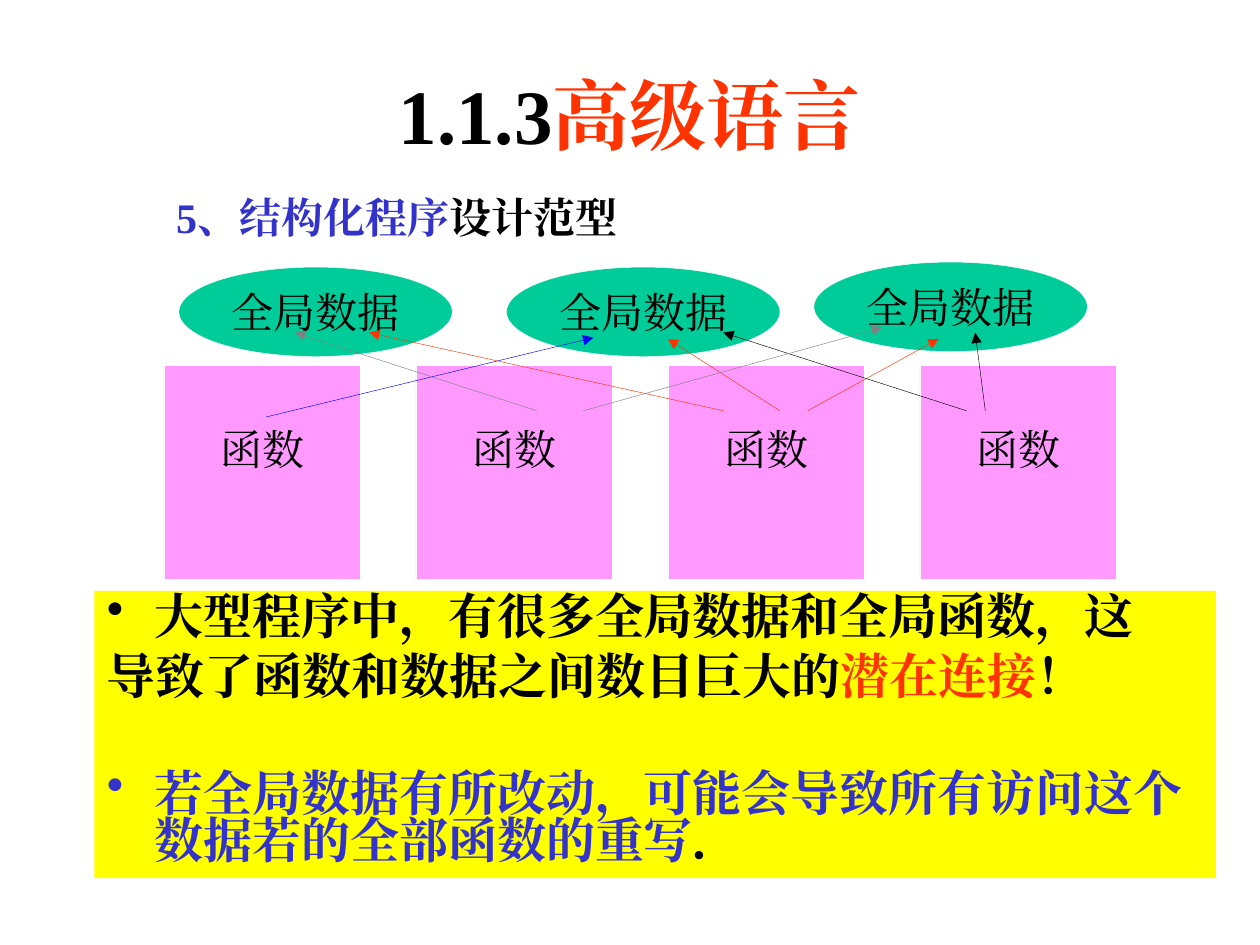
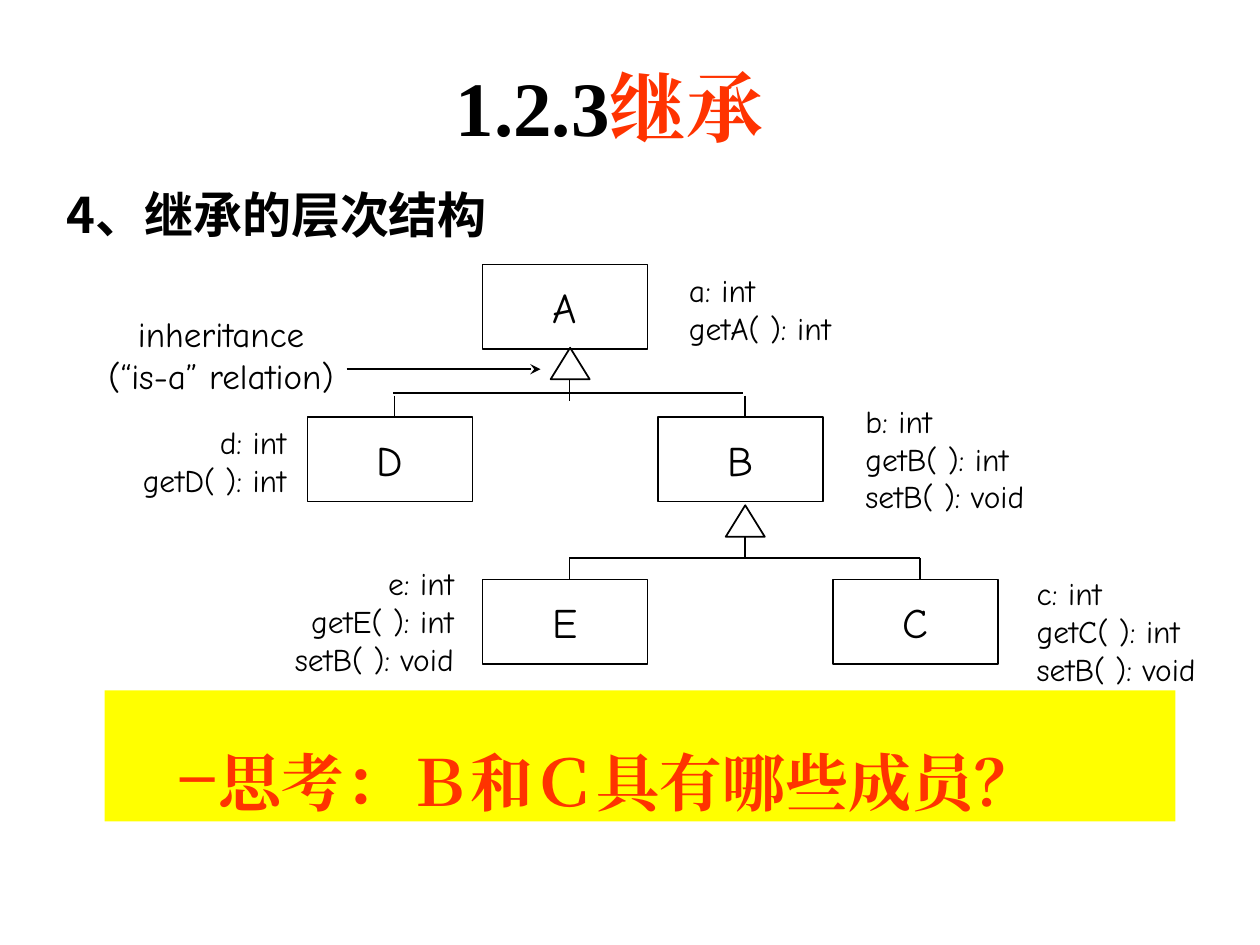
from dataclasses import dataclass
from typing import NamedTuple, Optional

from lxml.etree import SubElement
from pptx import Presentation
from pptx.dml.color import RGBColor
from pptx.enum.shapes import MSO_CONNECTOR as Connector, MSO_SHAPE as Preset
from pptx.enum.text import MSO_ANCHOR as Anchor, PP_ALIGN as Align
from pptx.oxml.ns import qn
from pptx.util import Inches, Pt


# Shared look
@dataclass(frozen=True)
class Theme:
    black: str = "000000"
    red: str = "FF3300"
    indigo: str = "3333CC"
    blue: str = "0000FF"
    grey: str = "808080"
    white: str = "FFFFFF"
    yellow: str = "FFFF00"
    green: str = "00CC99"
    pink: str = "FF99FF"
    serif: str = "Times New Roman"
    sans: str = "Noto Sans CJK SC"
    hand: str = "Comic Neue"
    title: int = 44
    question: int = 36
    body: int = 28
    label: int = 24
    note: int = 20
    member: int = 18
    hairline: float = 0.25
    outline: float = 1


THEME = Theme()


class Box(NamedTuple):
    left: float
    top: float
    width: float
    height: float


class Span(NamedTuple):
    text: str
    color: str = THEME.black


class Line(NamedTuple):
    spans: list[Span]
    format: dict = {}
    bullet: str = ""
    indent: tuple[float, float] = (0, 0)


class TextStyle(NamedTuple):
    size: int
    font: str = THEME.serif
    bold: bool = False
    align: Align = Align.LEFT
    anchor: Anchor = Anchor.TOP


class Link(NamedTuple):
    start: tuple[float, float]
    end: tuple[float, float]
    color: str = THEME.black


class Members(NamedTuple):
    box: Box
    align: Align
    lines: list[str]


class Branch(NamedTuple):
    """An inheritance triangle with its stem, bar and two drops."""
    parent_x: float
    top: float
    bar_y: float
    bar_left: float
    stem_end: float
    drop_top: float


def rgb(color: str) -> RGBColor:
    return RGBColor.from_string(color)


def apply(target, values: dict) -> None:
    for name, value in values.items():
        setattr(target, name, value)


# Drawing helpers
def write(shape, lines: list[Line], style: TextStyle, **frame_format) -> None:
    frame = shape.text_frame
    apply(frame, {"word_wrap": True, "vertical_anchor": style.anchor, **frame_format})
    for index, line in enumerate(lines):
        paragraph = frame.add_paragraph() if index else frame.paragraphs[0]
        apply(paragraph, {"alignment": style.align, **line.format})
        properties = paragraph._p.get_or_add_pPr()
        margin, first = line.indent
        properties.set("marL", str(Inches(margin)))
        properties.set("indent", str(Inches(first)))
        if line.bullet:
            color = SubElement(properties, qn("a:buClr"))
            SubElement(color, qn("a:srgbClr"), val=line.spans[0].color)
            SubElement(properties, qn("a:buChar"), char=line.bullet)
        for span in line.spans:
            run = paragraph.add_run()
            run.text = span.text
            apply(run.font, {"size": Pt(style.size), "bold": style.bold, "name": style.font})
            run.font.color.rgb = rgb(span.color)
            SubElement(run._r.get_or_add_rPr(), qn("a:ea"), typeface=style.font)


def add_text(slide, box: Box, lines: list[Line], style: TextStyle) -> None:
    write(slide.shapes.add_textbox(*map(Inches, box)), lines, style)


def add_block(slide, preset: Preset, box: Box, fill: Optional[str] = None,
              line: Optional[str] = None, weight: float = THEME.outline):
    shape = slide.shapes.add_shape(preset, *map(Inches, box))
    shape.shadow.inherit = False
    if fill:
        shape.fill.solid()
        shape.fill.fore_color.rgb = rgb(fill)
    else:
        shape.fill.background()
    if line:
        shape.line.color.rgb = rgb(line)
        shape.line.width = Pt(weight)
    else:
        shape.line.fill.background()
    return shape


def add_link(slide, link: Link, weight: float = THEME.outline, head: str = "") -> None:
    connector = slide.shapes.add_connector(
        Connector.STRAIGHT, *map(Inches, (*link.start, *link.end)))
    connector.line.color.rgb = rgb(link.color)
    connector.line.width = Pt(weight)
    if head:
        SubElement(connector.line._get_or_add_ln(), qn("a:tailEnd"), type=head)
    SubElement(connector._element.spPr, qn("a:effectLst"))


def add_title(slide, left: float, top: float, number: str, name: str) -> None:
    style = TextStyle(THEME.title, bold=True, align=Align.CENTER, anchor=Anchor.MIDDLE)
    add_text(slide, Box(left, top, 8.5, 1.25),
             [Line([Span(number), Span(name, THEME.red)])], style)


# Slide 1: functions that share global data
DATA_SPOTS = [(1.42, 2.12), (4.02, 2.12), (6.46, 2.08)]
ACCESSES = [
    Link((2.11, 3.31), (4.71, 2.68), THEME.blue),
    Link((5.74, 3.26), (2.93, 2.64), THEME.red),
    Link((6.19, 3.26), (5.3, 2.69), THEME.red),
    Link((6.41, 3.26), (7.45, 2.69), THEME.red),
    Link((7.67, 3.26), (5.74, 2.64)),
    Link((7.82, 3.26), (7.74, 2.64)),
    Link((4.26, 3.26), (2.34, 2.64), THEME.grey),
    Link((4.63, 3.26), (7, 2.6), THEME.grey),
]
HANGING = (0.38, -0.38)
TIGHT = {"line_spacing": 0.8, "space_before": Pt(7)}
DRAWBACKS = [
    Line([Span("大型程序中，有很多全局数据和全局函数，这")], TIGHT, "•", HANGING),
    Line([Span("导致了函数和数据之间数目巨大的"), Span("潜在连接", THEME.red), Span("！")],
         TIGHT, indent=HANGING),
    Line([Span("若全局数据有所改动，可能会导致所有访问这个数据若的全部函数的重写", THEME.indigo),
          Span("．")], {**TIGHT, "space_before": Pt(40)}, "•", HANGING),
]


def build_structured(slide) -> None:
    add_title(slide, 0.75, 0.28, "1.1.3", "高级语言")
    panel = add_block(slide, Preset.RECTANGLE, Box(0.75, 4.69, 8.9, 2.28), THEME.yellow)
    write(panel, DRAWBACKS, TextStyle(THEME.body, bold=True))

    label = TextStyle(THEME.label, align=Align.CENTER, anchor=Anchor.MIDDLE)
    border = {"line": THEME.white, "weight": THEME.hairline}
    for left, top in DATA_SPOTS:
        data = add_block(slide, Preset.OVAL, Box(left, top, 2.17, 0.71), THEME.green, **border)
        write(data, [Line([Span("全局数据")])], label, word_wrap=False)
    for column in range(4):
        function = add_block(slide, Preset.RECTANGLE, Box(1.3 + 2 * column, 2.9, 1.56, 1.7),
                             THEME.pink, **border)
        write(function, [Line([Span("函数")])], label, margin_bottom=Inches(0.43))
    for access in ACCESSES:
        add_link(slide, access, THEME.hairline, "triangle")

    heading = Line([Span("5、结构化程序", THEME.indigo), Span("设计范型")],
                   {"space_before": Pt(15)})
    add_text(slide, Box(1.3, 1.47, 7.56, 0.5), [heading], TextStyle(THEME.label, bold=True))


# Slide 2: class hierarchy
COLUMN_LEFT, COLUMN_STEP = 2.44, 1.39
STEM_LEFT, DROP_HEIGHT = 3.14, 0.17
CLASSES = {"A": (1, 2.1), "D": (0, 3.31), "B": (2, 3.31), "E": (1, 4.6), "C": (3, 4.6)}
BRANCHES = [
    Branch(4.52, 2.76, 3.12, 3.12, 3.18, 3.14),
    Branch(5.91, 4.01, 4.43, 4.52, 4.43, 4.43),
]
MEMBERS = [
    Members(Box(5.37, 2.1, 1.6, 0.7), Align.LEFT, ["a: int", "getA( ): int"]),
    Members(Box(6.77, 3.14, 1.6, 1), Align.LEFT, ["b: int", "getB( ): int", "setB( ): void"]),
    Members(Box(8.13, 4.51, 1.6, 1), Align.LEFT, ["c: int", "getC( ): int", "setB( ): void"]),
    Members(Box(0.77, 3.31, 1.6, 0.7), Align.RIGHT, ["d: int", "getD( ): int"]),
    Members(Box(2.1, 4.43, 1.6, 1), Align.RIGHT, ["e: int", "getE( ): int", "setB( ): void"]),
]


def add_branch(slide, branch: Branch) -> None:
    x, half = branch.parent_x, COLUMN_STEP
    add_block(slide, Preset.ISOSCELES_TRIANGLE, Box(x - 0.15, branch.top, 0.31, 0.25),
              line=THEME.black)
    add_link(slide, Link((x, branch.top + 0.25), (x, branch.stem_end)))
    add_link(slide, Link((branch.bar_left, branch.bar_y),
                         (branch.bar_left + 2 * half, branch.bar_y)))
    for drop_x in (x - half, x + half):
        add_link(slide, Link((drop_x, branch.drop_top),
                             (drop_x, branch.drop_top + DROP_HEIGHT)))


def build_inheritance(slide) -> None:
    add_title(slide, 0.59, 0.21, "1.2.3", "继承")
    add_text(slide, Box(0.43, 1.07, 8.5, 1.25),
             [Line([Span("4、继承的层次结构")], {"space_before": Pt(7)})],
             TextStyle(THEME.body, THEME.sans, bold=True, anchor=Anchor.MIDDLE))
    panel = add_block(slide, Preset.RECTANGLE, Box(0.83, 5.48, 8.5, 1.04), THEME.yellow)
    question = Line([Span("思考：Ｂ和Ｃ具有哪些成员？", THEME.red)],
                    bullet="–", indent=(0.81, -0.31))
    write(panel, [question], TextStyle(THEME.question, bold=True), margin_top=Inches(0.42))

    # Classes and the lines between them
    name_style = TextStyle(THEME.label, THEME.hand, align=Align.CENTER, anchor=Anchor.MIDDLE)
    for name, (column, top) in CLASSES.items():
        box = Box(COLUMN_LEFT + COLUMN_STEP * column, top, 1.31, 0.67)
        write(add_block(slide, Preset.RECTANGLE, box, line=THEME.black),
              [Line([Span(name)])], name_style)
    for branch in BRANCHES:
        add_branch(slide, branch)

    # Members and the remark on the relation
    for members in MEMBERS:
        add_text(slide, members.box, [Line([Span(text)]) for text in members.lines],
                 TextStyle(THEME.member, THEME.hand, align=members.align))
    add_text(slide, Box(0.66, 2.43, 2.19, 0.77),
             [Line([Span(text)]) for text in ("inheritance", "(“is-a” relation)")],
             TextStyle(THEME.note, THEME.hand, align=Align.CENTER))
    add_link(slide, Link((2.75, 2.93), (4.29, 2.93)), head="stealth")


def main() -> None:
    presentation = Presentation()
    apply(presentation, {"slide_width": Inches(10), "slide_height": Inches(7.5)})
    for build in (build_structured, build_inheritance):
        build(presentation.slides.add_slide(presentation.slide_layouts[6]))
    presentation.save("out.pptx")


if __name__ == "__main__":
    main()
